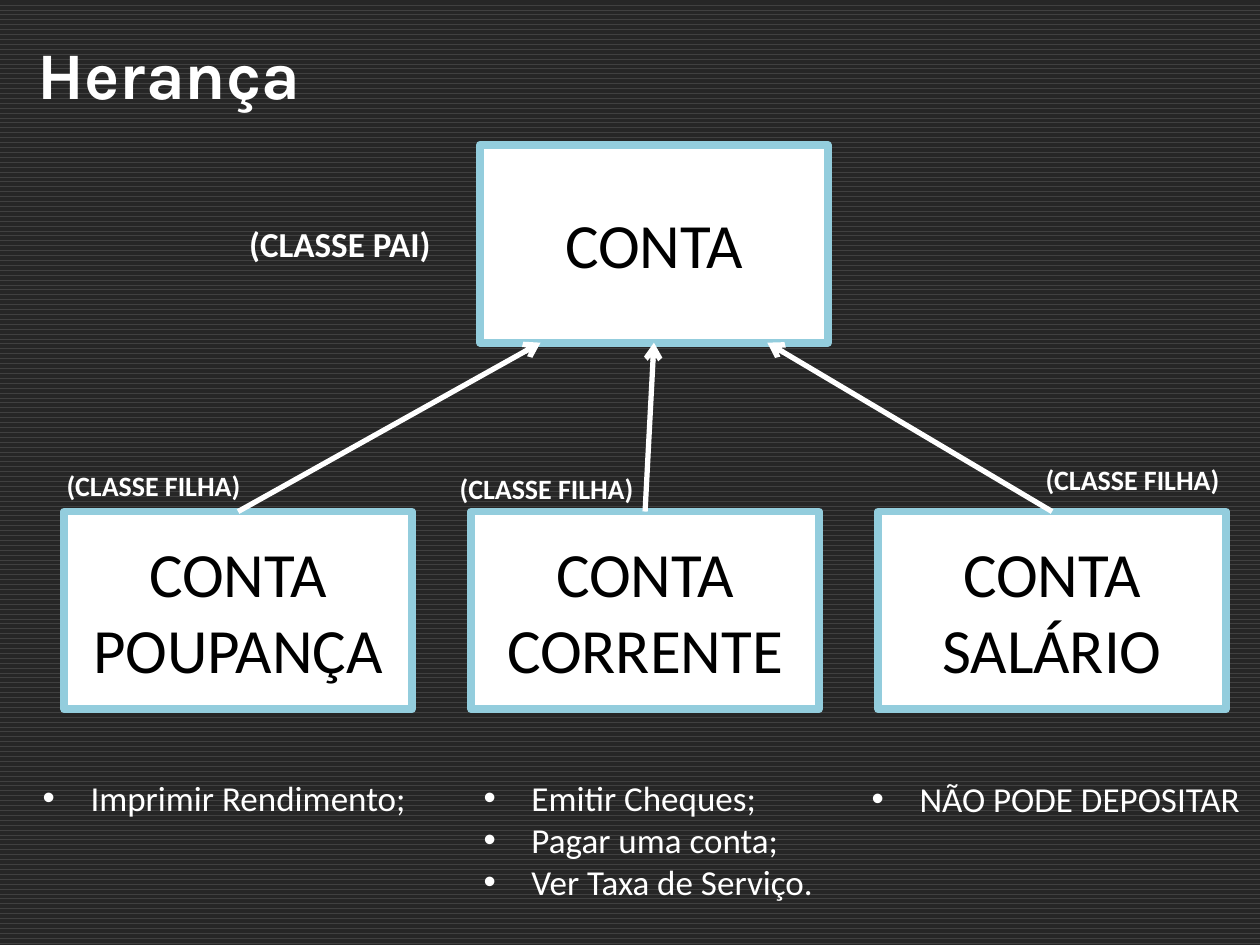
from lxml.etree import SubElement
from pptx import Presentation
from pptx.dml.color import RGBColor
from pptx.enum.dml import MSO_PATTERN
from pptx.enum.shapes import MSO_CONNECTOR, MSO_SHAPE
from pptx.enum.text import MSO_ANCHOR, MSO_AUTO_SIZE, PP_ALIGN
from pptx.oxml.ns import qn
from pptx.util import Inches, Pt

WHITE = RGBColor(0xFF, 0xFF, 0xFF)
BLACK = RGBColor(0, 0, 0)
SKY = RGBColor(0x93, 0xCD, 0xDD)
STRIPE = RGBColor(0x40, 0x40, 0x40)
CHARCOAL = RGBColor(0x26, 0x26, 0x26)

BOX_W, BOX_H = 2.76, 1.57
PARENT_X, PARENT_Y = 3.81, 1.15
CHILD_X, CHILD_Y, COLUMN = 0.51, 4.06, 3.23
ARROW_GAP = 0.9
INDENT = Inches(0.38)

# class name, label position, list position and width, list items
CHILDREN = [
    ("CONTA POUPANÇA", (0.43, 3.67), (0.24, 6.11, 3.11), ["Imprimir Rendimento;"]),
    ("CONTA CORRENTE", (3.55, 3.69), (3.74, 6.11, 2.84),
     ["Emitir Cheques;", "Pagar uma conta;", "Ver Taxa de Serviço."]),
    ("CONTA SALÁRIO", (8.2, 3.62), (6.82, 6.12, 3.14), ["NÃO PODE DEPOSITAR"]),
]

prs = Presentation()
prs.slide_width, prs.slide_height = Inches(10), Inches(7.5)
s = prs.slides.add_slide(prs.slide_layouts[5])
fill = s.background.fill
fill.patterned()
fill.pattern = MSO_PATTERN.WAVE
fill.fore_color.rgb = STRIPE
fill.back_color.rgb = CHARCOAL


def add_text(x, y, w, h, lines, size, bold=False, bullets=False):
    tf = s.shapes.add_textbox(Inches(x), Inches(y), Inches(w), Inches(h)).text_frame
    tf.word_wrap = False
    tf.auto_size = MSO_AUTO_SIZE.SHAPE_TO_FIT_TEXT
    for i, line in enumerate(lines):
        p = tf.add_paragraph() if i else tf.paragraphs[0]
        if bullets:
            pPr = p._p.get_or_add_pPr()
            pPr.set("marL", str(INDENT))
            pPr.set("indent", str(-INDENT))
            SubElement(pPr, qn("a:buFont"), typeface="Arial")
            SubElement(pPr, qn("a:buChar"), char="•")
        r = p.add_run()
        r.text = line
        r.font.name, r.font.size, r.font.bold = "Calibri", Pt(size), bold
        r.font.color.rgb = WHITE


def add_class(x, y, name):
    sp = s.shapes.add_shape(MSO_SHAPE.RECTANGLE, Inches(x), Inches(y),
                            Inches(BOX_W), Inches(BOX_H))
    sp.shadow.inherit = False
    sp.fill.solid()
    sp.fill.fore_color.rgb = WHITE
    sp.line.color.rgb = SKY
    sp.line.width = Pt(4.5)
    tf = sp.text_frame
    tf.word_wrap = True
    tf.vertical_anchor = MSO_ANCHOR.MIDDLE
    p = tf.paragraphs[0]
    p.alignment = PP_ALIGN.CENTER
    r = p.add_run()
    r.text = name
    r.font.name, r.font.size = "Calibri", Pt(36)
    r.font.color.rgb = BLACK
    return sp


# Title
title = s.shapes.title
title.left, title.top = Inches(0.2), Inches(0.21)
title.width, title.height = Inches(9.69), Inches(0.63)
tf = title.text_frame
tf.auto_size = MSO_AUTO_SIZE.NONE
tf.vertical_anchor = MSO_ANCHOR.TOP
p = tf.paragraphs[0]
p.alignment = PP_ALIGN.LEFT
r = p.add_run()
r.text = "Herança"
r.font.name, r.font.size, r.font.bold = "Karla", Pt(38), True
r.font.color.rgb = WHITE

# Parent class
add_class(PARENT_X, PARENT_Y, "CONTA")
add_text(1.88, 1.72, 1.66, 0.44, ["(CLASSE PAI)"], 20, bold=True)

# Child classes, each with its arrow, label and list
for i, (name, label_at, (list_x, list_y, list_w), items) in enumerate(CHILDREN):
    child = add_class(CHILD_X + i * COLUMN, CHILD_Y, name)
    arrow = s.shapes.add_connector(
        MSO_CONNECTOR.STRAIGHT, 0, 0,
        Inches(PARENT_X + BOX_W / 2 + (i - 1) * ARROW_GAP), Inches(PARENT_Y + BOX_H))
    arrow.begin_connect(child, 0)
    arrow.line.color.rgb = WHITE
    arrow.line.width = Pt(3)
    SubElement(arrow.line._get_or_add_ln(), qn("a:tailEnd"), type="arrow")
    SubElement(arrow._element.spPr, qn("a:effectLst"))
    add_text(*label_at, 1.6, 0.37, ["(CLASSE FILHA)"], 16, bold=True)
    add_text(list_x, list_y, list_w, 0.11 + len(items) / 3, items, 20, bullets=True)

prs.save("out.pptx")
